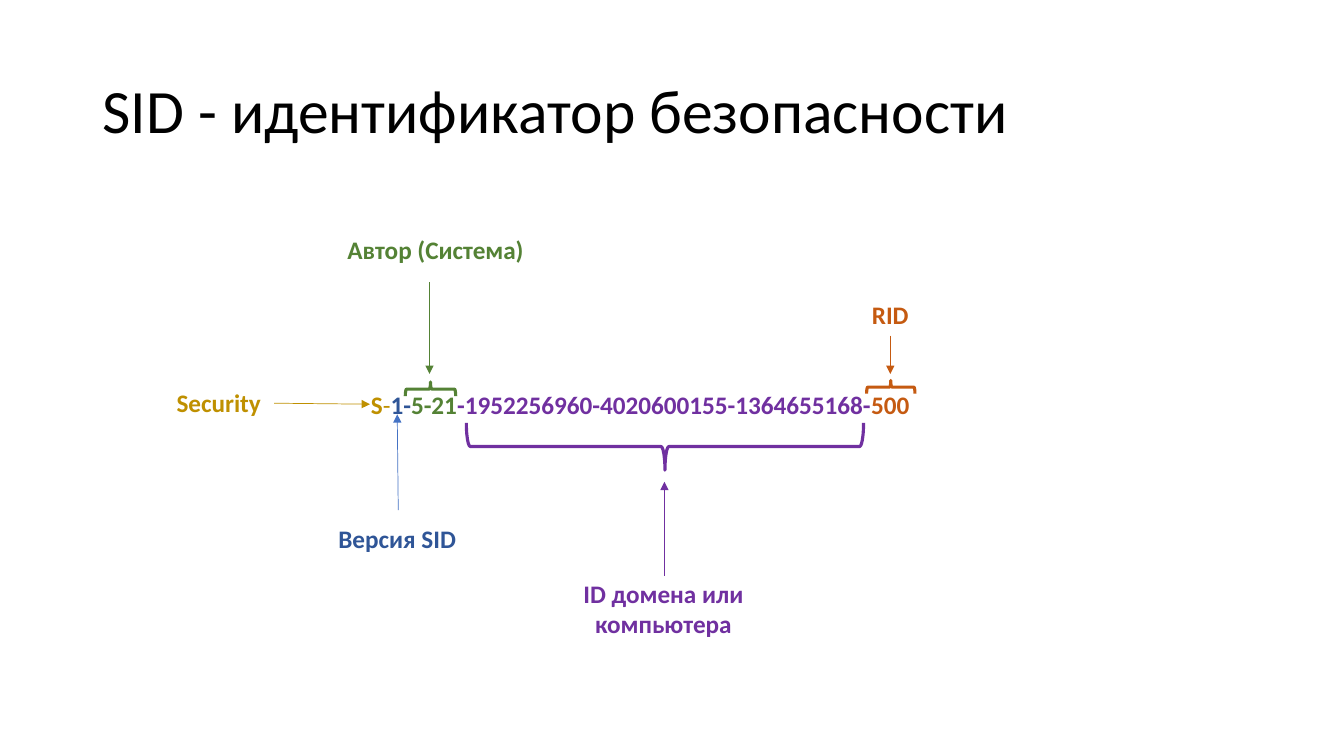
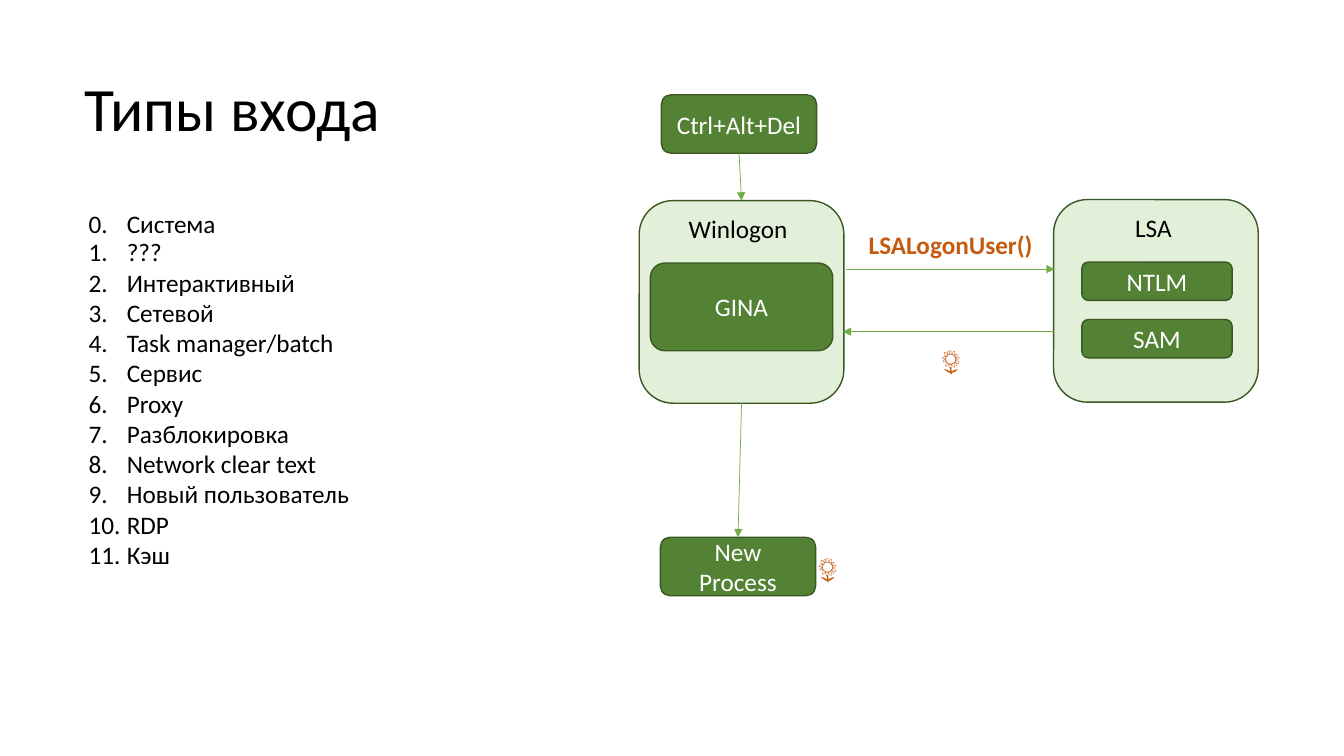
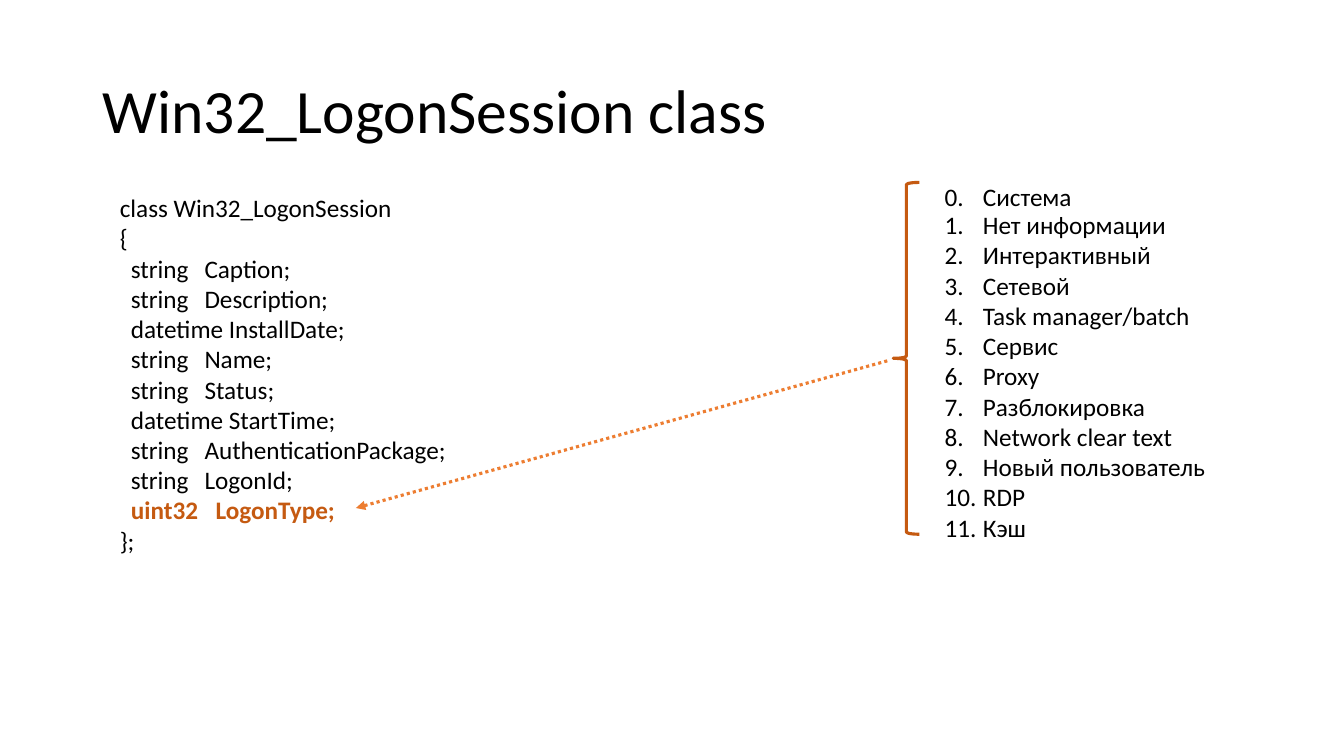
from dataclasses import dataclass

from lxml import etree
from pptx import Presentation
from pptx.dml.color import RGBColor
from pptx.enum.dml import MSO_LINE
from pptx.enum.shapes import MSO_CONNECTOR, MSO_SHAPE
from pptx.enum.text import MSO_ANCHOR, MSO_AUTO_SIZE, PP_ALIGN
from pptx.oxml.ns import qn
from pptx.util import Inches, Pt

STRAIGHT = MSO_CONNECTOR.STRAIGHT
ROUND_RECT = MSO_SHAPE.ROUNDED_RECTANGLE
LEFT_BRACE, RIGHT_BRACE = MSO_SHAPE.LEFT_BRACE, MSO_SHAPE.RIGHT_BRACE
LEFT, CENTER = PP_ALIGN.LEFT, PP_ALIGN.CENTER
TOP, MIDDLE = MSO_ANCHOR.TOP, MSO_ANCHOR.MIDDLE
FIT_SHAPE = MSO_AUTO_SIZE.SHAPE_TO_FIT_TEXT
DOTTED = MSO_LINE.ROUND_DOT
SIDE_TOP, SIDE_BOTTOM = 0, 2


@dataclass(frozen=True)
class Theme:
    font: str = "Calibri"
    title_size: float = 44
    body_size: float = 18
    thin: float = 0.5
    outline: float = 1
    thick: float = 2.25
    black: str = "000000"
    white: str = "FFFFFF"
    gold: str = "BF9000"
    navy: str = "2F5597"
    blue: str = "4472C4"
    green: str = "548235"
    pale_green: str = "E2F0D9"
    dark_green: str = "385723"
    arrow_green: str = "70AD47"
    purple: str = "7030A0"
    rust: str = "C55A11"
    orange: str = "ED7D31"


T = Theme()


@dataclass(frozen=True)
class Run:
    text: str
    color: str = T.black
    bold: bool = False


@dataclass(frozen=True)
class Para:
    runs: tuple[Run, ...]
    margin: float = 0
    hang: float = 0
    numbered: bool = False


@dataclass(frozen=True)
class Label:
    text: str
    x: float
    y: float
    color: str = T.black
    bold: bool = True
    w: float = 3
    h: float = 0.4


@dataclass(frozen=True)
class Arrow:
    start: tuple[float, float]
    end: tuple[float, float]
    color: str = T.arrow_green


@dataclass(frozen=True)
class Box:
    text: str
    x: float
    y: float
    w: float
    h: float
    fill: str = T.green


@dataclass(frozen=True)
class Brace:
    x: float
    y: float
    w: float
    h: float
    color: str
    rotation: float = 0
    kind: int = RIGHT_BRACE


LIST_HANG = 0.38
LOGON_TYPES = ["Интерактивный", "Сетевой", "Task manager/batch", "Сервис", "Proxy",
               "Разблокировка", "Network clear text", "Новый пользователь", "RDP", "Кэш"]


# Shared drawing functions
def rgb(color: str) -> RGBColor:
    return RGBColor.from_string(color)


def para(text: str, color: str = T.black, bold: bool = False, **indent) -> Para:
    return Para((Run(text, color, bold),), **indent)


def write(tf, paras: list[Para], *, size: float = T.body_size, align=LEFT,
          anchor=TOP, spacing: float = 1) -> None:
    """Fill a text frame; a vertical tab in a run breaks the line."""
    tf.word_wrap = True
    tf.vertical_anchor = anchor
    for i, item in enumerate(paras):
        p = tf.add_paragraph() if i else tf.paragraphs[0]
        p.alignment, p.line_spacing = align, spacing
        ppr = p._p.get_or_add_pPr()
        if item.margin:
            ppr.set("marL", str(Inches(item.margin)))
            ppr.set("indent", str(-Inches(item.hang)))
        if item.numbered:
            etree.SubElement(ppr, qn("a:buFont"), typeface="+mj-lt")
            etree.SubElement(ppr, qn("a:buAutoNum"), type="arabicPeriod")
        for run in item.runs:
            for k, part in enumerate(run.text.split("\v")):
                if k:
                    p.add_line_break()
                r = p.add_run()
                r.text = part
                r.font.name, r.font.size = T.font, Pt(size)
                r.font.bold = run.bold
                r.font.color.rgb = rgb(run.color)


def add_text(s, x: float, y: float, w: float, h: float, paras: list[Para], *,
             fit: bool = True, **fmt) -> None:
    tf = s.shapes.add_textbox(Inches(x), Inches(y), Inches(w), Inches(h)).text_frame
    write(tf, paras, **fmt)
    if fit:
        tf.auto_size = FIT_SHAPE


def add_label(s, label: Label, align=CENTER) -> None:
    add_text(s, label.x, label.y, label.w, label.h,
             [para(label.text, label.color, label.bold)], align=align)


def add_box(s, box: Box):
    sp = s.shapes.add_shape(ROUND_RECT, Inches(box.x), Inches(box.y),
                            Inches(box.w), Inches(box.h))
    sp.shadow.inherit = False
    sp.fill.solid()
    sp.fill.fore_color.rgb = rgb(box.fill)
    sp.line.color.rgb = rgb(T.dark_green)
    sp.line.width = Pt(T.outline)
    if box.text:
        write(sp.text_frame, [para(box.text, T.white)], align=CENTER, anchor=MIDDLE)
    return sp


def add_brace(s, brace: Brace) -> None:
    sp = s.shapes.add_shape(brace.kind, Inches(brace.x), Inches(brace.y),
                            Inches(brace.w), Inches(brace.h))
    sp.shadow.inherit = False
    sp.rotation = brace.rotation
    sp.fill.background()
    sp.line.color.rgb = rgb(brace.color)
    sp.line.width = Pt(T.thick)


def add_arrow(s, arrow: Arrow, *, width: float = T.thin, dash=None):
    cx = s.shapes.add_connector(STRAIGHT, *map(Inches, arrow.start + arrow.end))
    cx.line.color.rgb = rgb(arrow.color)
    cx.line.width = Pt(width)
    if dash:
        cx.line.dash_style = dash
    etree.SubElement(cx.line._get_or_add_ln(), qn("a:tailEnd"), type="triangle")
    etree.SubElement(cx._element.spPr, qn("a:effectLst"))
    return cx


def join_down(s, upper, lower) -> None:
    cx = add_arrow(s, Arrow((0, 0), (1, 1)))
    cx.begin_connect(upper, SIDE_BOTTOM)
    cx.end_connect(lower, SIDE_TOP)


def add_logon_types(s, x: float, y: float, first: str) -> None:
    add_text(s, x, y, 3, 0.4, [para("0.\tСистема", margin=LIST_HANG, hang=LIST_HANG)])
    add_text(s, x, y + 0.28, 3, 3.43,
             [para(name, margin=LIST_HANG, hang=LIST_HANG, numbered=True)
              for name in [first, *LOGON_TYPES]])


def new_slide(prs, title: str, x: float = 0.92, y: float = 0.4):
    s = prs.slides.add_slide(prs.slide_layouts[6])
    add_text(s, x, y, 11.5, 1.45, [para(title)], fit=False,
             size=T.title_size, anchor=MIDDLE, spacing=0.9)
    return s


# Slide 1: parts of a SID
def sid_slide(prs) -> None:
    s = new_slide(prs, "SID - идентификатор безопасности")
    sid = Para((Run("S", T.gold, True), Run("-", T.gold), Run("1-", T.navy, True),
                Run("5-21", T.green, True),
                Run("-1952256960-4020600155-1364655168-", T.purple, True),
                Run("500", T.rust, True)))
    add_text(s, 2.96, 3.81, 6.78, 0.4, [sid], align=CENTER)
    for arrow in (Arrow((2.72, 4), (3.67, 4.01), T.gold),
                  Arrow((3.95, 5.06), (3.94, 4.11), T.blue),
                  Arrow((4.26, 2.8), (4.26, 3.71), T.green),
                  Arrow((8.83, 3.33), (8.83, 3.71), T.rust),
                  Arrow((6.59, 5.71), (6.59, 4.78), T.purple)):
        add_arrow(s, arrow)
    for brace in (Brace(4.2, 3.61, 0.14, 0.5, T.green, 270),
                  Brace(6.36, 2.46, 0.47, 3.94, T.purple, 90),
                  Brace(8.77, 3.6, 0.13, 0.48, T.rust, 270)):
        add_brace(s, brace)
    for label in (Label("RID", 7.33, 2.92, T.rust),
                  Label("ID домена или компьютера", 5.08, 5.69, T.purple, h=0.71),
                  Label("Автор (Система)", 2.82, 2.28, T.green),
                  Label("Версия SID", 2.44, 5.14, T.navy),
                  Label("Security", 0.67, 3.79, T.gold)):
        add_label(s, label)


# Slide 2: logon types and the logon flow
def logon_slide(prs) -> None:
    s = new_slide(prs, "Типы входа", 0.74, 0.38)
    winlogon = add_box(s, Box("", 6.34, 1.99, 2.03, 2.01, T.pale_green))
    add_box(s, Box("", 10.45, 1.98, 2.03, 2.01, T.pale_green))
    add_box(s, Box("GINA", 6.45, 2.61, 1.81, 0.87))
    for i, name in enumerate(("NTLM", "SAM")):
        add_box(s, Box(name, 10.73, 2.6 + 0.57 * i, 1.49, 0.38))
    keys = add_box(s, Box("Ctrl+Alt+Del", 6.56, 0.94, 1.54, 0.58))
    process = add_box(s, Box("New\vProcess", 6.55, 5.33, 1.54, 0.58))
    join_down(s, keys, winlogon)
    join_down(s, winlogon, process)
    add_arrow(s, Arrow((8.39, 2.67), (10.46, 2.67)))
    add_arrow(s, Arrow((10.45, 3.29), (8.36, 3.29)))
    for label in (Label("Winlogon", 5.82, 2.07, bold=False),
                  Label("LSA", 9.94, 2.06, bold=False),
                  Label("LSALogonUser()", 7.93, 2.23, T.rust),
                  Label("🌻", 7.93, 3.37, T.rust, bold=False)):
        add_label(s, label)
    add_label(s, Label("🌻", 8, 5.43, T.rust, bold=False, w=0.45), LEFT)
    add_logon_types(s, 0.78, 2.02, "???")


# Slide 3: session class and its logon type values
def session_slide(prs) -> None:
    s = new_slide(prs, "Win32_LogonSession class")
    fields = [("string", "Caption"), ("string", "Description"),
              ("datetime", "InstallDate"), ("string", "Name"), ("string", "Status"),
              ("datetime", "StartTime"), ("string", "AuthenticationPackage"),
              ("string", "LogonId")]
    indent, name_at, bold_name_at = 0.11, 0.84, 0.95
    code = [para("class Win32_LogonSession"), para("{")]
    for kind, name in fields:
        if kind == "string":
            code.append(para(f"{kind}\t{name};", margin=name_at, hang=name_at - indent))
        else:
            code.append(para(f"{kind} {name};", margin=indent))
    code += [para("uint32\tLogonType;", T.rust, True, margin=bold_name_at,
                  hang=bold_name_at - indent), para("};")]
    add_text(s, 1.09, 1.86, 6.74, 3.74, code)
    add_logon_types(s, 9.27, 1.75, "Нет информации")
    add_brace(s, Brace(8.86, 1.81, 0.26, 3.49, T.rust, kind=LEFT_BRACE))
    add_arrow(s, Arrow((8.8, 3.58), (3.53, 5.04), T.orange), width=T.thick, dash=DOTTED)


def main() -> None:
    prs = Presentation()
    prs.slide_width, prs.slide_height = Inches(13.33), Inches(7.5)
    sid_slide(prs)
    logon_slide(prs)
    session_slide(prs)
    prs.save("out.pptx")


if __name__ == "__main__":
    main()
